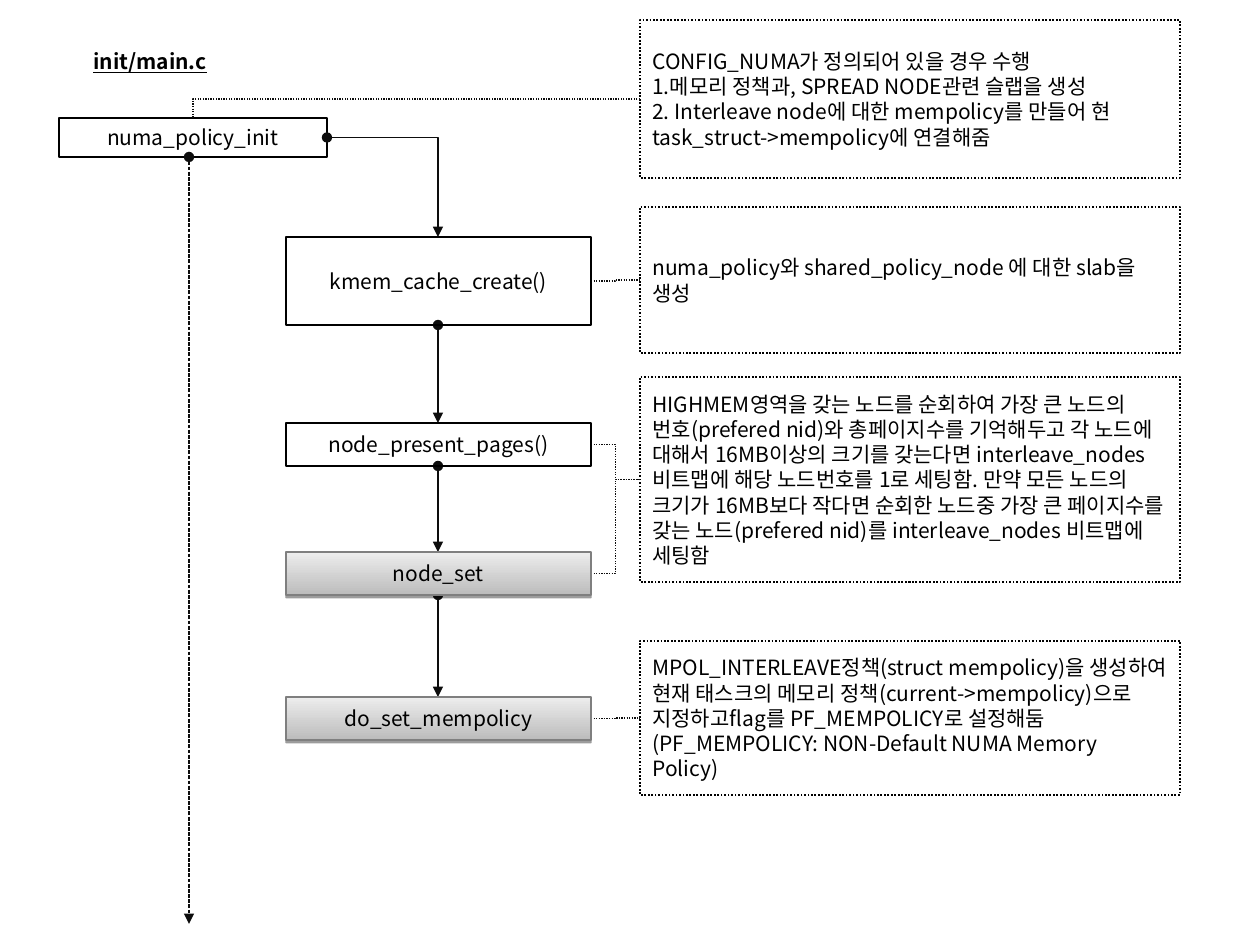
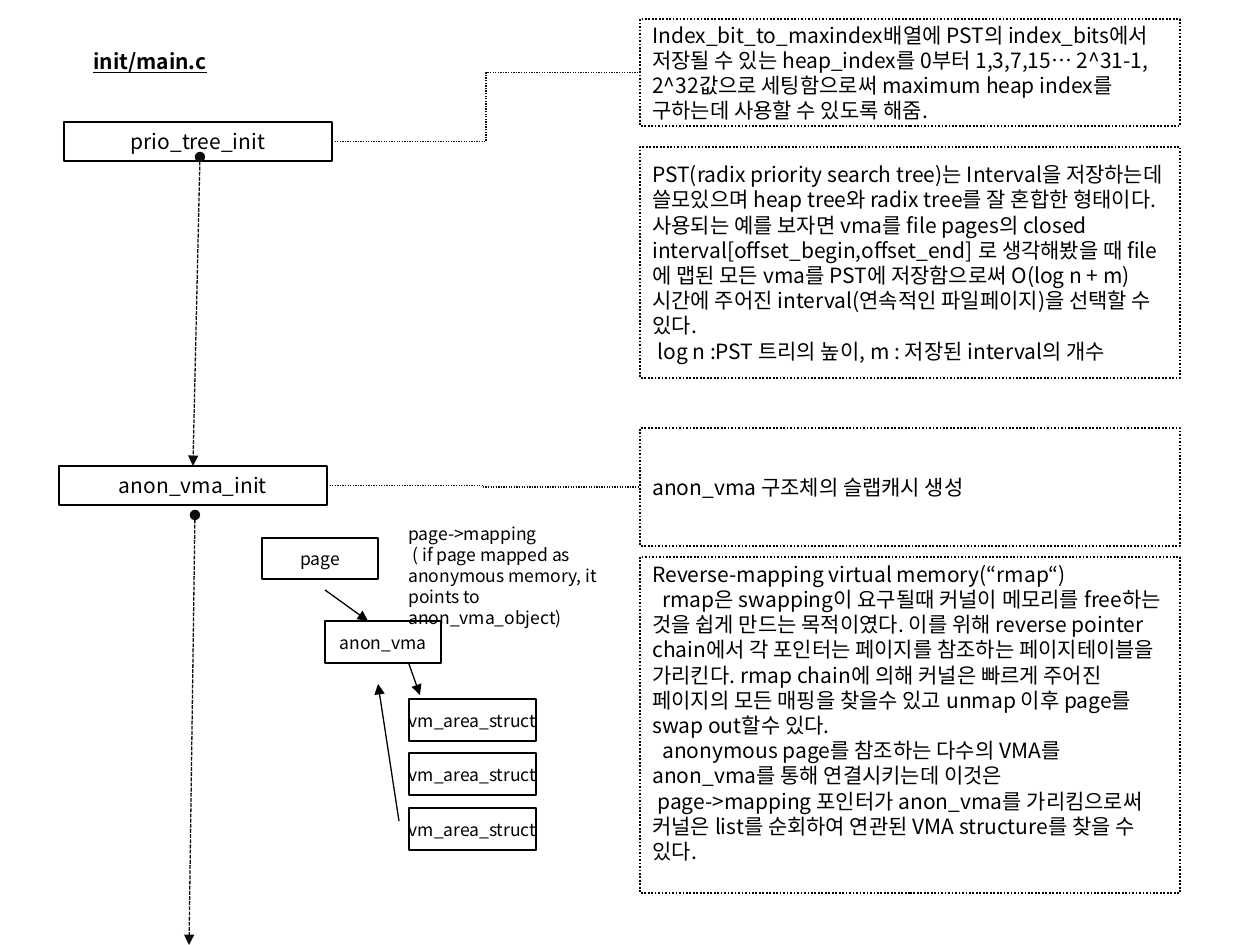
from dataclasses import dataclass

from lxml import etree
from pptx import Presentation
from pptx import util as u
from pptx.dml.color import RGBColor
from pptx.enum import dml, shapes, text
from pptx.oxml.ns import qn


@dataclass(frozen=True)
class Theme:
    font: str = "Noto Sans CJK KR"
    ink: str = "000000"
    link: str = "0D0D0D"
    edge: str = "7F7F7F"
    shade: tuple = ("BCBCBC", "EDEDED")
    body: int = 12
    small: int = 10
    thin: float = 0.75
    thick: float = 1


T = Theme()
DOT, DASH = dml.MSO_LINE.ROUND_DOT, dml.MSO_LINE.SQUARE_DOT
LEFT, CENTER = text.PP_ALIGN.LEFT, text.PP_ALIGN.CENTER

TITLE = "init/main.c"
TITLE_BOX = (81, 42, 140, 38)
NOTE_X, NOTE_W = 640, 540
STEP_X, STEP_W = 286, 305

# Notes: (top, height, paragraphs); a paragraph may be (first-line indent, text).
NUMA_NOTES = [
    (20, 158, ["CONFIG_NUMA가 정의되어 있을 경우 수행",
               "1.메모리 정책과, SPREAD NODE관련 슬랩을 생성",
               "2. Interleave node에 대한 mempolicy를 만들어 현 "
               "task_struct->mempolicy에 연결해줌"]),
    (207, 146, ["numa_policy와 shared_policy_node 에 대한 slab을 생성"]),
    (377, 205, ["HIGHMEM영역을 갖는 노드를 순회하여 가장 큰 노드의 번호(prefered nid)와 "
                "총페이지수를 기억해두고 각 노드에 대해서 16MB이상의 크기를 갖는다면 "
                "interleave_nodes비트맵에 해당 노드번호를 1로 세팅함. 만약 모든 노드의 크기가 "
                "16MB보다 작다면 순회한 노드중 가장 큰 페이지수를 갖는 노드(prefered nid)를 "
                "interleave_nodes 비트맵에 세팅함"]),
    (641, 154, ["MPOL_INTERLEAVE정책(struct mempolicy)을 생성하여 현재 태스크의 메모리 "
                "정책(current->mempolicy)으로 지정하고flag를 PF_MEMPOLICY로 설정해둠",
                "(PF_MEMPOLICY: NON-Default NUMA Memory Policy)"]),
]
NUMA_INIT = ("numa_policy_init", (59, 118, 268, 39))
# Steps: (call, top, height, shaded, index of its note)
NUMA_STEPS = [
    ("kmem_cache_create()", 237, 88, False, 1),
    ("node_present_pages()", 423, 43, False, 2),
    ("node_set", 552, 43, True, 2),
    ("do_set_mempolicy", 697, 43, True, 3),
]

TREE_NOTES = [
    (19, 107, ["Index_bit_to_maxindex배열에 PST의 index_bits에서 저장될 수 있는 "
               "heap_index를 0부터 1,3,7,15… 2^31-1, 2^32값으로 세팅함으로써 "
               "maximum heap index를 구하는데 사용할 수 있도록 해줌."]),
    (147, 231, ["PST(radix priority search tree)는 Interval을 저장하는데 쓸모있으며 "
                "heap tree와 radix tree를 잘 혼합한 형태이다. 사용되는 예를 보자면 vma를 "
                "file pages의 closed interval[offset_begin,offset_end] 로 생각해봤을 때 "
                "file에 맵된 모든 vma를 PST에 저장함으로써 O(log n + m) 시간에 주어진 "
                "interval(연속적인 파일페이지)을 선택할 수 있다.",
                (5, "log n :PST 트리의 높이, m : 저장된 interval의 개수")]),
    (428, 118, ["anon_vma 구조체의 슬랩캐시 생성"]),
    (557, 336, ["Reverse-mapping virtual memory(“rmap“)",
                (10, "rmap은 swapping이 요구될때 커널이 메모리를 free하는 것을 쉽게 만드는 "
                     "목적이였다. 이를 위해 reverse pointer chain에서 각 포인터는 페이지를 "
                     "참조하는 페이지테이블을 가리킨다. rmap chain에 의해 커널은 빠르게 주어진 "
                     "페이지의 모든 매핑을 찾을수 있고 unmap 이후 page를 swap out할수 있다."),
                (10, "anonymous page를 참조하는 다수의 VMA를 anon_vma를 통해 "
                     "연결시키는데 이것은"),
                (5, "page->mapping 포인터가 anon_vma를 가리킴으로써 커널은 list를 "
                    "순회하여 연관된 VMA structure를 찾을 수 있다.")], 31),
]
# Entry points: (call, box, index of its note)
TREE_INITS = [
    ("prio_tree_init", (64, 122, 268, 39), 0),
    ("anon_vma_init", (59, 466, 268, 39), 2),
]
TREE_FLOW = [((200, 157), (193, 466)), ((195, 515), (189, 945))]
STRUCTS = [("page", (262, 538, 116, 41)), ("anon_vma", (325, 621, 116, 42))]
STRUCTS += [("vm_area_struct", (409, 699 + 109 * i // 2, 127, 42)) for i in range(3)]
POINTERS = [((325, 590), (368, 621)), ((409, 664), (420, 695)), ((399, 821), (378, 684))]
MAPPING_BOX = (396, 517, 245, 118)
MAPPING = ["page->mapping",
           (4, "( if page mapped as anonymous memory, it points to anon_vma_object)")]


def px(n):
    return u.Emu(round(n * 914400 / 126))


def rgb(code):
    return RGBColor.from_string(code)


def write(sp, paragraphs, size, align=LEFT, wrap=True, heading=False):
    tf = sp.text_frame
    tf.word_wrap = wrap
    for i, item in enumerate(paragraphs):
        indent, words = item if isinstance(item, tuple) else (0, item)
        p = tf.paragraphs[0] if i == 0 else tf.add_paragraph()
        p.text = words
        p.alignment = align
        f = p.font
        f.name, f.size, f.color.rgb = T.font, u.Pt(size), rgb(T.ink)
        if heading:
            f.bold = f.underline = True
        etree.SubElement(f._element, qn("a:ea"), typeface=T.font)
        if indent:
            p._p.get_or_add_pPr().set("indent", str(px(indent)))


def textbox(s, box, paragraphs, size, **style):
    write(s.shapes.add_textbox(*map(px, box)), paragraphs, size, **style)


def box(s, area, paragraphs, size=T.body, width=T.thick, dash=None, **style):
    sp = s.shapes.add_shape(shapes.MSO_SHAPE.RECTANGLE, *map(px, area))
    sp.shadow.inherit = False
    sp.fill.background()
    sp.line.color.rgb, sp.line.width = rgb(T.ink), u.Pt(width)
    if dash:
        sp.line.dash_style = dash
    sp.text_frame.vertical_anchor = text.MSO_ANCHOR.MIDDLE
    write(sp, paragraphs, size, **style)
    return sp


def shade(sp):
    """Grey gradient with a hard drop shadow below."""
    sp.fill.gradient()
    sp.fill.gradient_angle = 90
    for stop, code in zip(sp.fill.gradient_stops, T.shade):
        stop.color.rgb = rgb(code)
    sp.line.color.rgb, sp.line.width = rgb(T.edge), u.Pt(T.thin)
    effects = sp._element.spPr.find(qn("a:effectLst"))
    shadow = etree.SubElement(effects, qn("a:outerShdw"), blurRad="0", dist="20000",
                              dir="5400000", rotWithShape="0")
    color = etree.SubElement(shadow, qn("a:srgbClr"), val=T.ink)
    etree.SubElement(color, qn("a:alpha"), val="38000")


def connect(s, start, end, kind="line", dash=None, head=None, tail=None, color=T.link):
    """kind is line, elbow (two bends) or corner (one bend, leaving sideways)."""
    types = shapes.MSO_CONNECTOR
    cn = s.shapes.add_connector(types.STRAIGHT if kind == "line" else types.ELBOW,
                                *map(px, start + end))
    spPr = cn._element.spPr
    if kind == "corner":
        spPr.find(qn("a:prstGeom")).set("prst", "bentConnector2")
    cn.line.color.rgb, cn.line.width = rgb(color), u.Pt(T.thin)
    if dash:
        cn.line.dash_style = dash
    for tag, end_type in (("a:headEnd", head), ("a:tailEnd", tail)):
        if end_type:
            etree.SubElement(cn.line._get_or_add_ln(), qn(tag), type=end_type)
    etree.SubElement(spPr, qn("a:effectLst"))


def flow(s, start, end, **style):
    connect(s, start, end, head="oval", tail="triangle", **style)


def right_of(area):
    x, y, w, h = area
    return x + w, y + h / 2


def note_side(note):
    return NOTE_X, note[0] + note[1] / 2


def annotate(s, area, note):
    connect(s, right_of(area), note_side(note), "elbow", DOT)


def start_slide(prs, notes):
    s = prs.slides.add_slide(prs.slide_layouts[6])
    textbox(s, TITLE_BOX, [TITLE], T.body, wrap=False, heading=True)
    for top, height, paragraphs, *bottom in notes:
        sp = box(s, (NOTE_X, top, NOTE_W, height), paragraphs, dash=DOT)
        if bottom:
            sp.text_frame.margin_bottom = px(bottom[0])
    return s


def numa_slide(prs):
    s = start_slide(prs, NUMA_NOTES)
    name, area = NUMA_INIT
    box(s, area, [name], align=CENTER)
    middle = STEP_X + STEP_W // 2
    flow(s, right_of(area), (middle, NUMA_STEPS[0][1]), kind="corner")
    flow(s, (189, 157), (189, 924), dash=DASH)
    connect(s, note_side(NUMA_NOTES[0]), (193, 118), "corner", DOT)
    for (_, top, height, *_), following in zip(NUMA_STEPS, NUMA_STEPS[1:]):
        flow(s, (middle, top + height), (middle, following[1]))
    for call, top, height, shaded, note in NUMA_STEPS:
        area = (STEP_X, top, STEP_W, height)
        annotate(s, area, NUMA_NOTES[note])
        sp = box(s, area, [call], align=CENTER)
        if shaded:
            shade(sp)


def tree_slide(prs):
    s = start_slide(prs, TREE_NOTES)
    for call, area, note in TREE_INITS:
        annotate(s, area, TREE_NOTES[note])
        box(s, area, [call], align=CENTER)
    for start, end in TREE_FLOW:
        flow(s, start, end, dash=DASH)
    for name, area in STRUCTS:
        box(s, area, [name], T.small, T.thin, align=CENTER, wrap=False)
    for start, end in POINTERS:
        connect(s, start, end, tail="triangle", color=T.ink)
    textbox(s, MAPPING_BOX, MAPPING, T.small)


def main():
    prs = Presentation()
    prs.slide_width, prs.slide_height = px(1260), px(945)
    numa_slide(prs)
    tree_slide(prs)
    prs.save("out.pptx")


if __name__ == "__main__":
    main()
